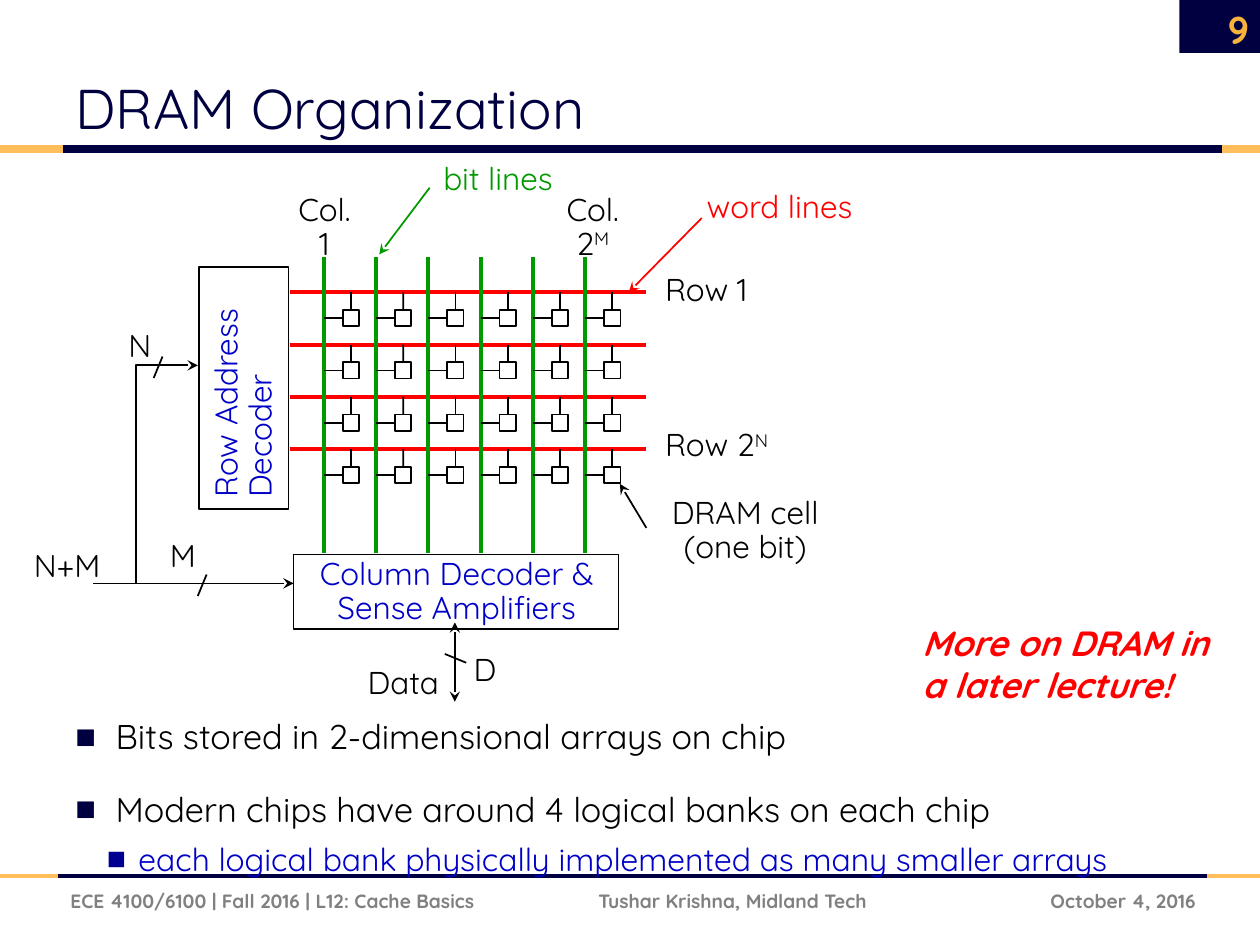
from lxml import etree
from pptx import Presentation
from pptx.dml.color import RGBColor
from pptx.enum.shapes import MSO_CONNECTOR, MSO_SHAPE
from pptx.enum.text import MSO_ANCHOR, PP_ALIGN
from pptx.oxml.ns import qn
from pptx.util import Inches, Pt

STRAIGHT = MSO_CONNECTOR.STRAIGHT
RECT = MSO_SHAPE.RECTANGLE
LEFT, CENTER, RIGHT = PP_ALIGN.LEFT, PP_ALIGN.CENTER, PP_ALIGN.RIGHT
TOP, MIDDLE, BOTTOM = MSO_ANCHOR.TOP, MSO_ANCHOR.MIDDLE, MSO_ANCHOR.BOTTOM

FONT = "Quicksand"
BLACK = RGBColor(0x00, 0x00, 0x00)
WHITE = RGBColor(0xFF, 0xFF, 0xFF)
NAVY = RGBColor(0x00, 0x00, 0x41)
DARK_BLUE = RGBColor(0x00, 0x00, 0x90)
BLUE = RGBColor(0x00, 0x00, 0xC7)
ORANGE = RGBColor(0xFF, 0xBE, 0x5A)
GOLD = RGBColor(0xF8, 0xB3, 0x3C)
RED = RGBColor(0xFF, 0x00, 0x00)
GREEN = RGBColor(0x00, 0x99, 0x00)
GRAY = RGBColor(0x80, 0x80, 0x80)

COLS, ROWS, PITCH = 6, 4, 0.415
COL_X, ROW_Y = 2.57, 2.32
CELL = 0.13


def add_run(p, text, size, color, **font):
    r = p.add_run()
    r.text = text
    values = {"name": FONT, "size": Pt(size), **font}
    for name, value in values.items():
        setattr(r.font, name, value)
    r.font.color.rgb = color
    return r


def add_text(s, box, lines, size=18, color=BLACK, align=LEFT, anchor=TOP,
             wrap=True, spacing=None, sup="", rotation=0, **font):
    """Add a text box, one paragraph per line; sup is raised after the last."""
    sp = s.shapes.add_textbox(*map(Inches, box))
    sp.rotation = rotation
    tf = sp.text_frame
    tf.word_wrap = wrap
    tf.vertical_anchor = anchor
    for i, line in enumerate(lines):
        p = tf.add_paragraph() if i else tf.paragraphs[0]
        p.alignment = align
        p.line_spacing = spacing
        add_run(p, line, size, color, **font)
    if sup:
        r = add_run(p, sup, size, color, **font)
        r.font._element.set("baseline", "30000")


def add_label(s, box, *lines, **options):
    add_text(s, box, lines, **{"spacing": 0.9, "wrap": False, **options})


def add_rect(s, box, fill=None, line=None):
    sp = s.shapes.add_shape(RECT, *map(Inches, box))
    sp.shadow.inherit = False
    if fill is None:
        sp.fill.background()
    else:
        sp.fill.solid()
        sp.fill.fore_color.rgb = fill
    if line is None:
        sp.line.fill.background()
    else:
        sp.line.color.rgb = line
        sp.line.width = Pt(1)
    return sp


def style_line(sp, color, width, arrows):
    """Style a line; arrows names the ends ("head", "tail") with arrowheads."""
    sp.line.color.rgb = color
    sp.line.width = Pt(width)
    ln = sp.line._get_or_add_ln()
    for end in arrows:
        etree.SubElement(ln, qn(f"a:{end}End"), type="stealth")


def add_line(s, x1, y1, x2, y2, color=BLACK, width=1, arrows=()):
    cx = s.shapes.add_connector(STRAIGHT, *map(Inches, (x1, y1, x2, y2)))
    style_line(cx, color, width, arrows)
    etree.SubElement(cx._element.spPr, qn("a:effectLst"))
    return cx


def add_elbow_arrow(s, start, *points):
    fb = s.shapes.build_freeform(*map(Inches, start))
    fb.add_line_segments([tuple(map(Inches, pt)) for pt in points], close=False)
    sp = fb.convert_to_shape()
    sp.shadow.inherit = False
    sp.fill.background()
    style_line(sp, BLACK, 1, ["tail"])


def add_bullets(s, box, items):
    sp = s.shapes.add_textbox(*map(Inches, box))
    tf = sp.text_frame
    tf.word_wrap = True
    for i, (text, size, color, bullet_color, margin, hang, before) in enumerate(items):
        p = tf.add_paragraph() if i else tf.paragraphs[0]
        p.space_before = Pt(before)
        add_run(p, text, size, color)
        pPr = p._p.get_or_add_pPr()
        pPr.set("marL", str(Inches(margin)))
        pPr.set("indent", str(-Inches(hang)))
        clr = etree.SubElement(pPr, qn("a:buClr"))
        etree.SubElement(clr, qn("a:srgbClr"), val=str(bullet_color))
        etree.SubElement(pPr, qn("a:buFont"), typeface="Arial")
        etree.SubElement(pPr, qn("a:buChar"), char="■")


def add_frame(s):
    """Add the title, rules, page number and footer."""
    add_rect(s, (9.36, 0, 0.68, 0.42), fill=NAVY)
    for y, width, left, right in ((6.95, 2.25, 0.46, 9.58), (1.18, 4.5, 0.5, 9.7)):
        add_line(s, left, y, right, y, NAVY, width)
        add_line(s, 0, y, left, y, ORANGE, width)
        add_line(s, right, y, 10, y, ORANGE, width)
    add_text(s, (0.5, 0.17, 8.18, 1), ["DRAM Organization"], 32, NAVY, anchor=BOTTOM)
    add_text(s, (9.34, 0.03, 0.67, 0.4), ["9"], 22, GOLD, RIGHT, MIDDLE, bold=True)
    for x, width, text, align in (
        (0.46, 4, "ECE 4100/6100 | Fall 2016 | L12: Cache Basics", LEFT),
        (4.65, 3, "Tushar Krishna, Midland Tech", LEFT),
        (7.67, 1.92, "October 4, 2016", RIGHT),
    ):
        add_text(s, (x, 6.95, width, 0.4), [text], 11, GRAY, align, MIDDLE, bold=True)


def add_cell_array(s):
    xs = [COL_X + PITCH * i for i in range(COLS)]
    ys = [ROW_Y + PITCH * j for j in range(ROWS)]
    for y in ys:
        add_line(s, 2.3, y, 5.13, y, RED, 2.25)
    for x in xs:
        add_line(s, x, 2.04, x, 4.39, GREEN, 2.25)
    for x in xs:
        for y in ys:
            left, top = x + 0.15, y + 0.14
            mid_x, mid_y = left + CELL / 2, top + CELL / 2
            cell = add_rect(s, (left, top, CELL, CELL), WHITE, BLACK)
            add_line(s, mid_x, top, mid_x, y).begin_connect(cell, 0)
            add_line(s, left, mid_y, x, mid_y).begin_connect(cell, 1)


def add_decoders(s):
    add_rect(s, (1.58, 2.12, 0.71, 1.92), WHITE, BLACK)
    add_label(s, (0.97, 2.75, 1.95, 0.65), "Row Address Decoder",
              color=BLUE, wrap=True, rotation=270)
    add_rect(s, (2.33, 4.4, 2.58, 0.59), line=BLACK)
    add_label(s, (2.25, 4.38, 2.75, 0.65), "Column Decoder & Sense Amplifiers",
              color=BLUE, wrap=True, align=CENTER)


def add_buses(s):
    add_line(s, 0.74, 4.63, 2.33, 4.63, arrows=["tail"])
    add_elbow_arrow(s, (1.08, 4.63), (1.08, 2.9), (1.57, 2.9))
    add_line(s, 3.61, 4.94, 3.61, 5.57, arrows=["head", "tail"])
    for slash in ((1.64, 4.56, 1.57, 4.73), (1.29, 2.83, 1.22, 3), (3.7, 5.26, 3.53, 5.19)):
        add_line(s, *slash)
    for x, y, width, text in ((1.25, 4.24, 0.44, "M"), (0.92, 2.57, 0.39, "N"),
                              (0.17, 4.32, 0.77, "N+M"), (3.66, 5.14, 0.39, "D"),
                              (2.82, 5.25, 0.82, "Data")):
        add_label(s, (x, y, width, 0.38), text)


def add_callouts(s):
    add_label(s, (2.23, 1.49, 0.69, 0.65), "Col.", "1", align=CENTER)
    add_label(s, (4.36, 1.49, 0.69, 0.65), "Col.", "2", align=CENTER, sup="M")
    add_label(s, (5.18, 2.13, 0.94, 0.38), "Row 1")
    add_label(s, (5.18, 3.36, 1.07, 0.38), "Row 2", sup="N")
    add_label(s, (3.42, 1.25, 1.1, 0.38), "bit lines", color=GREEN)
    add_line(s, 3.41, 1.49, 3.01, 2.02, GREEN, arrows=["tail"])
    add_label(s, (5.51, 1.47, 1.41, 0.38), "word lines", color=RED)
    add_line(s, 5.57, 1.73, 4.99, 2.32, RED, arrows=["tail"])
    add_label(s, (5.03, 3.9, 1.77, 0.65), "DRAM cell", "(one bit)", align=CENTER, wrap=True)
    add_line(s, 5.13, 4.19, 4.92, 3.84, arrows=["tail"])


def main():
    prs = Presentation()
    prs.slide_width, prs.slide_height = Inches(10), Inches(7.5)
    s = prs.slides.add_slide(prs.slide_layouts[6])
    add_frame(s)
    add_bullets(s, (0.5, 5.63, 9.08, 1.24), [
        ("Bits stored in 2-dimensional arrays on chip", 19.6, BLACK, NAVY, 0.32, 0.32, 18),
        ("Modern chips have around 4 logical banks on each chip",
         19.6, BLACK, NAVY, 0.32, 0.32, 18),
        ("each logical bank physically implemented as many smaller arrays",
         18.2, BLUE, DARK_BLUE, 0.5, 0.25, 6),
    ])
    add_cell_array(s)
    add_decoders(s)
    add_buses(s)
    add_callouts(s)
    add_text(s, (7.22, 4.88, 2.7, 0.77), ["More on DRAM in a later lecture!"],
             20, RED, bold=True, italic=True)
    prs.save("out.pptx")


if __name__ == "__main__":
    main()
